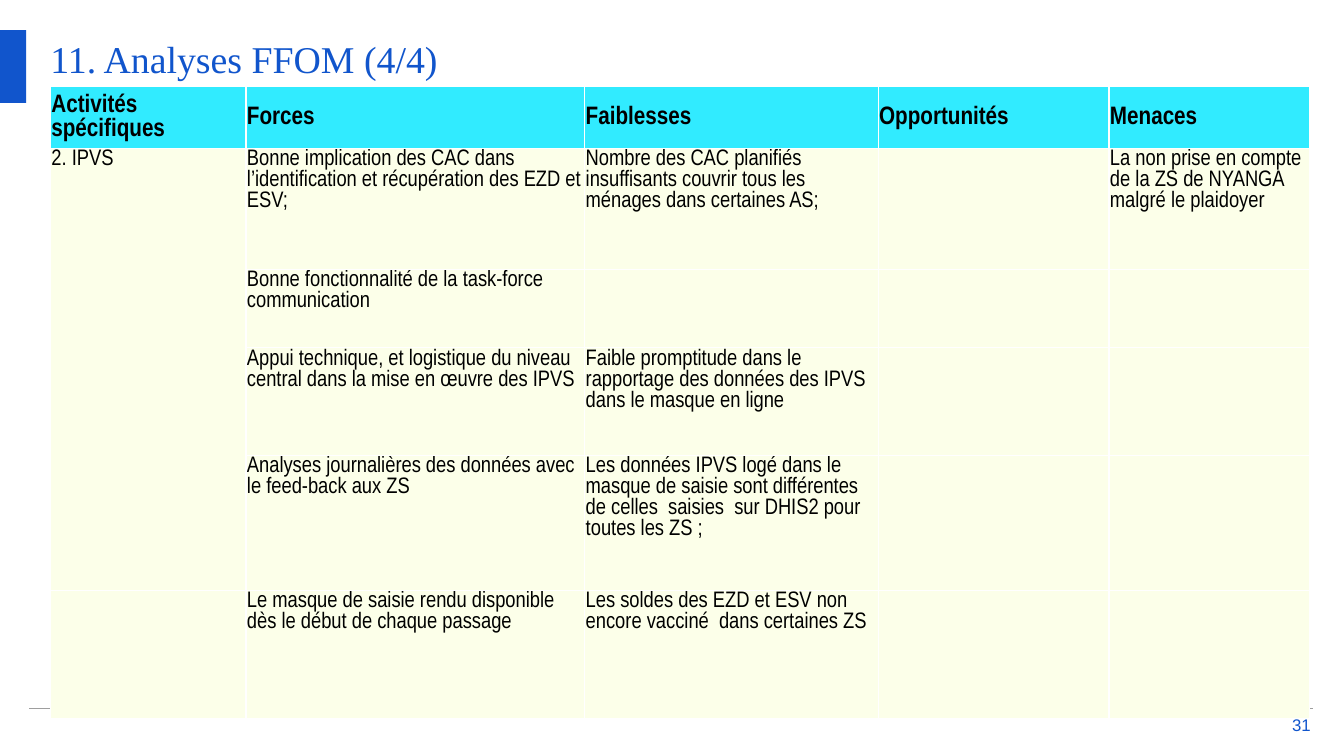
from dataclasses import dataclass

from lxml.etree import SubElement
from pptx import Presentation
from pptx.dml.color import RGBColor
from pptx.enum.shapes import MSO_CONNECTOR as Connector, MSO_SHAPE as Shape
from pptx.enum.text import MSO_ANCHOR as Anchor, PP_ALIGN as Align
from pptx.oxml.ns import qn
from pptx.util import Inches, Pt

COLORS = {
    "blue": "1155CC",
    "gray": "9E9E9E",
    "header": "31EBFF",
    "body": "FCFFE9",
    "black": "000000",
    "white": "FFFFFF",
}


@dataclass(frozen=True)
class RowContent:
    height: float
    activity: str = ""
    strength: str = ""
    weakness: str = ""
    opportunity: str = ""
    threat: str = ""

    def texts(self) -> tuple[str, ...]:
        return (self.activity, self.strength, self.weakness, self.opportunity, self.threat)


COLUMN_WIDTHS = (1.94, 3.36, 2.91, 2.29, 1.99)
ROWS = (
    RowContent(0.61, "Activités spécifiques", "Forces", "Faiblesses", "Opportunités", "Menaces"),
    RowContent(
        1.2,
        "2. IPVS",
        "Bonne implication des CAC dans l’identification et récupération des EZD et ESV;",
        "Nombre des CAC planifiés insuffisants couvrir tous les ménages dans certaines AS;",
        threat="La non prise en compte de la ZS de NYANGA malgré le plaidoyer",
    ),
    RowContent(0.78, strength="Bonne fonctionnalité de la task-force communication"),
    RowContent(
        1.07,
        strength="Appui technique, et logistique du niveau central dans la mise en œuvre des IPVS",
        weakness="Faible promptitude dans le rapportage des données des IPVS dans le masque en ligne",
    ),
    RowContent(
        1.34,
        strength="Analyses journalières des données avec le feed-back aux ZS",
        weakness="Les données IPVS logé dans le masque de saisie sont différentes "
        "de celles  saisies  sur DHIS2 pour toutes les ZS ;",
    ),
    RowContent(
        1.27,
        strength="Le masque de saisie rendu disponible dès le début de chaque passage",
        weakness="Les soldes des EZD et ESV non encore vacciné  dans certaines ZS",
    ),
)


def rgb(name: str) -> RGBColor:
    return RGBColor.from_string(COLORS[name])


def write_text(frame, text: str, *, size: float, font: str, color: str,
               bold: bool = False, align: Align = Align.LEFT) -> None:
    para = frame.paragraphs[0]
    para.alignment = align
    span = para.add_run()
    span.text = text
    span.font.size = Pt(size)
    span.font.name = font
    span.font.bold = bold
    span.font.color.rgb = rgb(color)


def prepare_frame(frame, anchor: Anchor) -> None:
    frame.word_wrap = True
    frame.vertical_anchor = anchor
    frame.margin_left = frame.margin_right = frame.margin_top = frame.margin_bottom = 0


def add_title(page, text: str) -> None:
    title = page.shapes.title
    title.left, title.top = Inches(0.5), Inches(0.35)
    title.width, title.height = Inches(12.33), Inches(0.8)
    prepare_frame(title.text_frame, Anchor.TOP)
    write_text(title.text_frame, text, size=27, font="Times New Roman", color="blue")


def add_accent(page) -> None:
    accent = page.shapes.add_shape(Shape.RECTANGLE, 0, Inches(0.3), Inches(0.26), Inches(0.72))
    accent.shadow.inherit = False
    accent.fill.solid()
    accent.fill.fore_color.rgb = rgb("blue")
    accent.line.fill.background()


def add_page_number(page, number: str) -> None:
    box = page.shapes.add_textbox(Inches(12.75), Inches(7.1), Inches(0.25), Inches(0.18))
    prepare_frame(box.text_frame, Anchor.MIDDLE)
    write_text(box.text_frame, number, size=12, font="Arial", color="blue", align=Align.RIGHT)


def add_footer_line(page) -> None:
    line = page.shapes.add_connector(
        Connector.STRAIGHT, Inches(0.29), Inches(7.03), Inches(13.02), Inches(7.03))
    line.line.color.rgb = rgb("gray")
    line.line.width = Pt(1)
    SubElement(line._element.spPr, qn("a:effectLst"))


def style_cell(cell, fill: str, anchor: Anchor) -> None:
    cell.margin_left = cell.margin_right = cell.margin_top = Inches(0.01)
    cell.margin_bottom = 0
    cell.vertical_anchor = anchor
    properties = cell._tc.get_or_add_tcPr()
    for side in ("lnL", "lnR", "lnT", "lnB"):
        border = SubElement(properties, qn(f"a:{side}"), w=str(Pt(1)))
        solid = SubElement(border, qn("a:solidFill"))
        SubElement(solid, qn("a:srgbClr"), val=COLORS["white"])
    cell.fill.solid()
    cell.fill.fore_color.rgb = rgb(fill)


def add_analysis_table(page) -> None:
    table = page.shapes.add_table(
        len(ROWS), len(COLUMN_WIDTHS), Inches(0.5), Inches(0.86),
        Inches(sum(COLUMN_WIDTHS)), Inches(sum(row.height for row in ROWS))).table
    for column, width in zip(table.columns, COLUMN_WIDTHS):
        column.width = Inches(width)
    for row_index, row in enumerate(ROWS):
        table.rows[row_index].height = Inches(row.height)
        is_header = row_index == 0
        for column_index, text in enumerate(row.texts()):
            cell = table.cell(row_index, column_index)
            style_cell(cell, "header" if is_header else "body",
                       Anchor.MIDDLE if is_header else Anchor.TOP)
            if text:
                write_text(cell.text_frame, text, size=18 if is_header else 16,
                           font="Arial Narrow", color="black", bold=is_header)
    table.cell(1, 0).merge(table.cell(4, 0))


def main() -> None:
    deck = Presentation()
    deck.slide_width, deck.slide_height = Inches(13.33), Inches(7.5)
    page = deck.slides.add_slide(deck.slide_layouts[5])
    add_title(page, "11. Analyses FFOM (4/4)")
    add_accent(page)
    add_page_number(page, "31")
    add_footer_line(page)
    add_analysis_table(page)
    deck.save("out.pptx")


if __name__ == "__main__":
    main()
